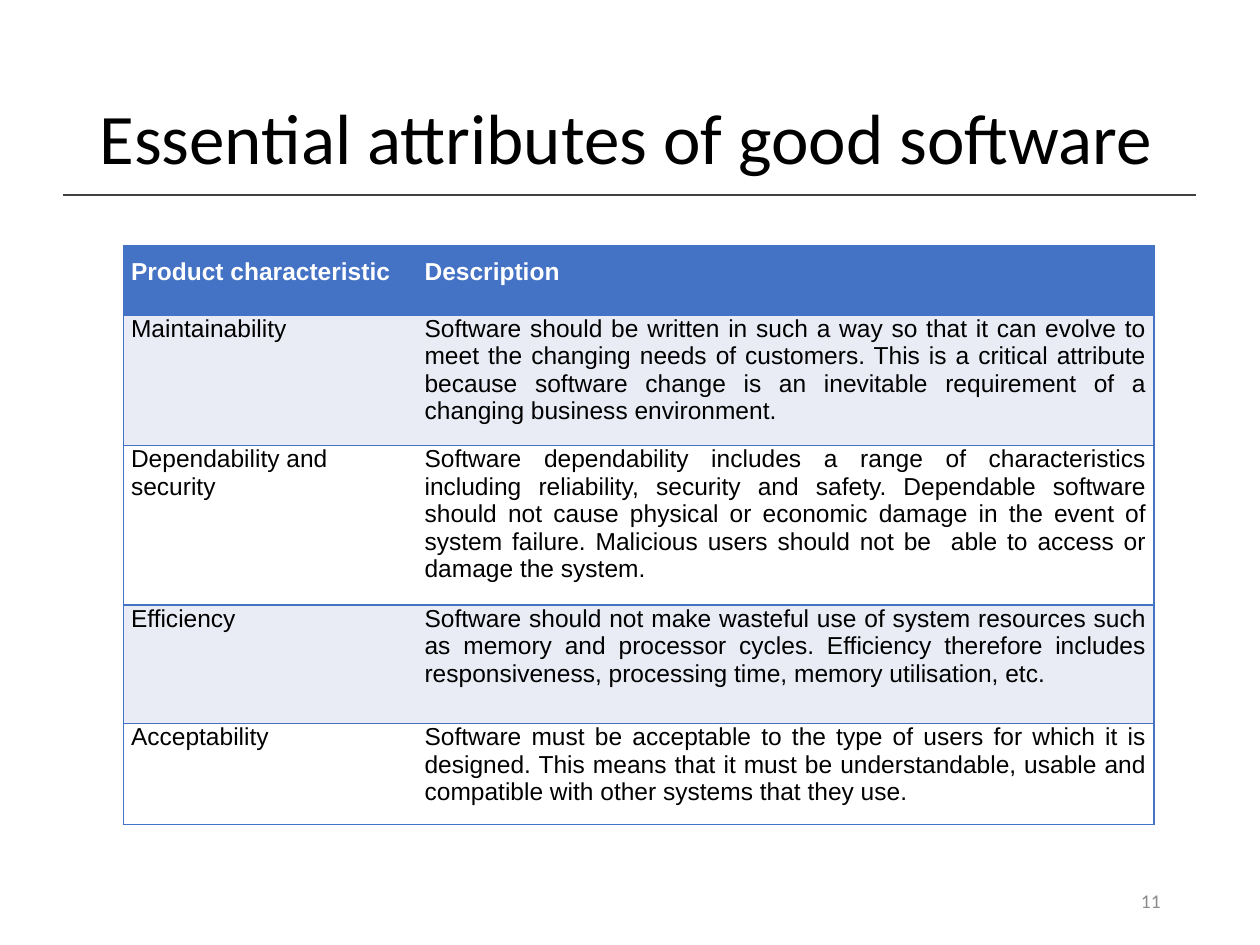
"""Build the slide on the essential attributes of good software."""
from lxml.etree import SubElement
from pptx import Presentation
from pptx.dml.color import RGBColor
from pptx.enum.shapes import MSO_CONNECTOR
from pptx.enum.text import MSO_ANCHOR, MSO_AUTO_SIZE, PP_ALIGN
from pptx.oxml import parse_xml
from pptx.oxml.ns import nsdecls, qn
from pptx.util import Inches, Pt

THEME = {
    "heading_font": "Calibri", "table_font": "Arial",
    "title_size": 40.6, "table_size": 14, "number_size": 11.1,
    "ink": "000000", "paper": "FFFFFF", "rule": "404040",
    "accent": "4472C4", "band": "E9EBF5", "muted": "8C8C8C",
}
COLUMNS = [2.33, 5.85]
ROWS = [0.55, 0.97, 1.19, 0.94, 0.75]
ATTRIBUTES = [
    ("Product characteristic", "Description"),
    ("Maintainability",
     "Software should be written in such a way so that it can evolve to meet the "
     "changing needs of customers. This is a critical attribute because software "
     "change is an inevitable requirement of a changing business environment."),
    ("Dependability and security",
     "Software dependability includes a range of characteristics including "
     "reliability, security and safety. Dependable software should not cause "
     "physical or economic damage in the event of system failure. Malicious users "
     "should not be  able to access or damage the system."),
    ("Efficiency",
     "Software should not make wasteful use of system resources such as memory and "
     "processor cycles. Efficiency therefore includes responsiveness, processing "
     "time, memory utilisation, etc."),
    ("Acceptability",
     "Software must be acceptable to the type of users for which it is designed. "
     "This means that it must be understandable, usable and compatible with other "
     "systems that they use."),
]


def write(frame, words, font, size, color, align, bold=False):
    paragraph = frame.paragraphs[0]
    paragraph.alignment = align
    run = paragraph.add_run()
    run.text = words
    run.font.name = font
    run.font.size = Pt(size)
    run.font.bold = bold
    run.font.color.rgb = RGBColor.from_string(color)
    return paragraph


def set_borders(cell, open_side):
    properties = cell._tc.get_or_add_tcPr()
    for place, side in enumerate(("lnL", "lnR", "lnT", "lnB")):
        paint = ("<a:noFill/>" if side == open_side else
                 f'<a:solidFill><a:srgbClr val="{THEME["accent"]}"/></a:solidFill>')
        properties.insert(place, parse_xml(
            f'<a:{side} {nsdecls("a")} w="{Pt(1)}">{paint}</a:{side}>'))


deck = Presentation()
deck.slide_width, deck.slide_height = Inches(10), Inches(7.5)
slide = deck.slides.add_slide(deck.slide_layouts[5])

rule = slide.shapes.add_connector(
    MSO_CONNECTOR.STRAIGHT, Inches(0.5), Inches(1.55), Inches(9.49), Inches(1.55))
rule.line.color.rgb = RGBColor.from_string(THEME["rule"])
rule.line.width = Pt(1)
SubElement(rule._element.spPr, qn("a:effectLst"))

title = slide.shapes.title
title.left, title.top, title.width, title.height = map(Inches, (0.69, 0.4, 8.62, 1.45))
title.text_frame.auto_size = MSO_AUTO_SIZE.NONE
title.text_frame.vertical_anchor = MSO_ANCHOR.MIDDLE
heading = write(title.text_frame, "Essential attributes of good software",
                THEME["heading_font"], THEME["title_size"], THEME["ink"], PP_ALIGN.LEFT)
heading.line_spacing = 0.9

page_number = slide.shapes.add_textbox(*map(Inches, (7.06, 6.95, 2.25, 0.4))).text_frame
page_number.word_wrap = True
page_number.vertical_anchor = MSO_ANCHOR.MIDDLE
write(page_number, "11", THEME["heading_font"], THEME["number_size"],
      THEME["muted"], PP_ALIGN.RIGHT)

table = slide.shapes.add_table(
    len(ROWS), len(COLUMNS), Inches(0.98), Inches(1.95),
    Inches(sum(COLUMNS)), Inches(sum(ROWS))).table
for column, width in zip(table.columns, COLUMNS):
    column.width = Inches(width)

for row_index, attribute in enumerate(ATTRIBUTES):
    table.rows[row_index].height = Inches(ROWS[row_index])
    header = row_index == 0
    shade = "accent" if header else "band" if row_index % 2 else "paper"
    for column_index, words in enumerate(attribute):
        cell = table.cell(row_index, column_index)
        cell.margin_left = cell.margin_right = Inches(0.06)
        cell.margin_top = Inches(0.1 if header else 0)
        cell.margin_bottom = Inches(0.1)
        cell.fill.solid()
        cell.fill.fore_color.rgb = RGBColor.from_string(THEME[shade])
        set_borders(cell, "lnL" if column_index else "lnR")
        align = PP_ALIGN.LEFT if words.startswith("Dependability") else PP_ALIGN.JUSTIFY
        write(cell.text_frame, words, THEME["table_font"], THEME["table_size"],
              THEME["paper" if header else "ink"], align, header)

deck.save("out.pptx")
